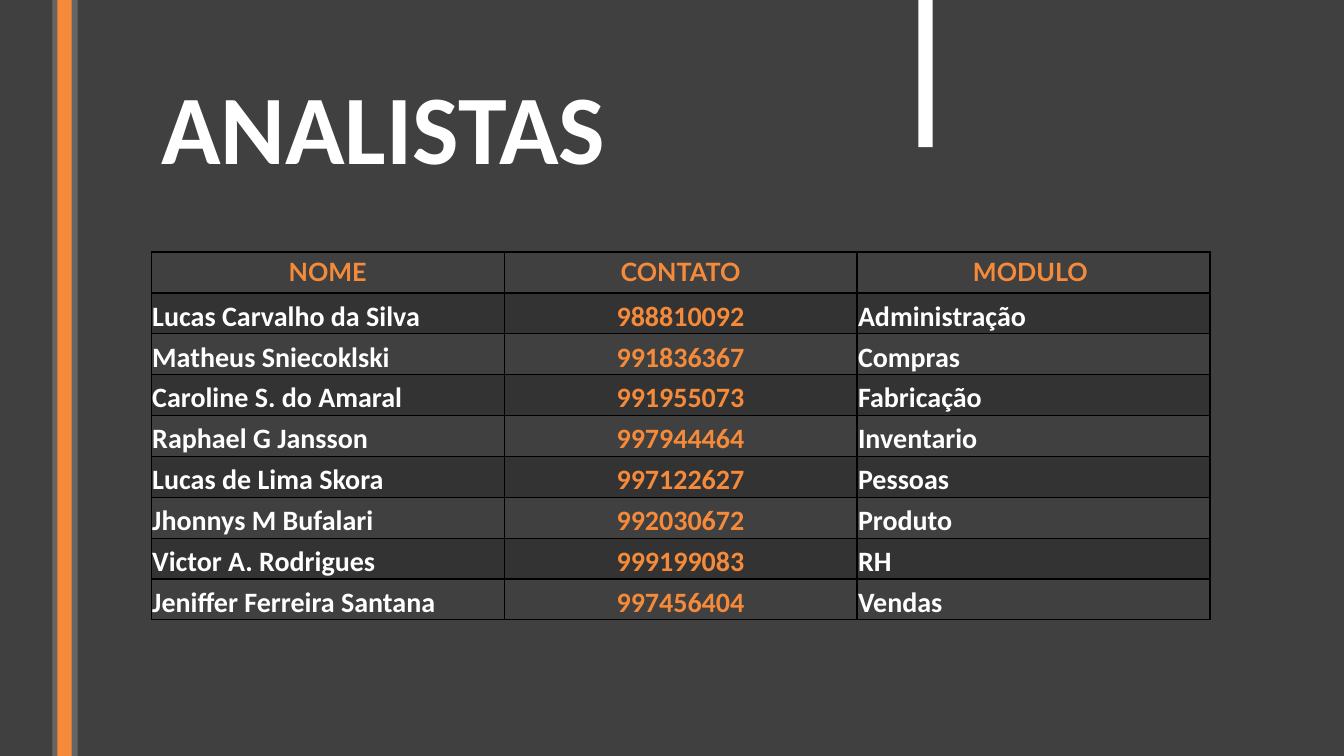
from lxml import etree
from pptx import Presentation
from pptx.dml.color import RGBColor
from pptx.enum.shapes import MSO_SHAPE
from pptx.enum.text import MSO_ANCHOR, MSO_AUTO_SIZE, PP_ALIGN
from pptx.oxml.ns import qn
from pptx.util import Inches, Pt

RECTANGLE = MSO_SHAPE.RECTANGLE
TOP, BOTTOM = MSO_ANCHOR.TOP, MSO_ANCHOR.BOTTOM
LEFT, CENTER = PP_ALIGN.LEFT, PP_ALIGN.CENTER

CHARCOAL = RGBColor(0x40, 0x40, 0x40)
GRAY = RGBColor(0x69, 0x64, 0x64)
ORANGE = RGBColor(0xF5, 0x8A, 0x3A)
WHITE = RGBColor(0xFF, 0xFF, 0xFF)
BLACK = RGBColor(0x00, 0x00, 0x00)

HEADINGS = ("NOME", "CONTATO", "MODULO ")
ANALYSTS = (
    ("Lucas Carvalho da Silva", "988810092", "Administração"),
    ("Matheus Sniecoklski", "991836367", "Compras"),
    ("Caroline S. do Amaral", "991955073", "Fabricação"),
    ("Raphael G Jansson", "997944464", "Inventario"),
    ("Lucas de Lima Skora", "997122627", "Pessoas"),
    ("Jhonnys M Bufalari", "992030672", "Produto"),
    ("Victor A. Rodrigues", "999199083", "RH"),
    ("Jeniffer Ferreira Santana", "997456404", "Vendas"),
)
CONTACT_COLUMN = 1
BODY_MARGINS = {
    "margin_left": Inches(0.01),
    "margin_right": Inches(0.01),
    "margin_top": Inches(0.01),
    "margin_bottom": 0,
}


def write(para, text, font_name, size, color):
    """Put one bold run in the paragraph."""
    span = para.add_run()
    span.text = text
    span.font.color.rgb = color
    font_format = {"name": font_name, "size": Pt(size), "bold": True}
    for attribute, value in font_format.items():
        setattr(span.font, attribute, value)


def add_borders(cell, bottom_width):
    """Draw black borders, 1 pt on every side but the bottom."""
    widths = {"a:lnL": 1, "a:lnR": 1, "a:lnT": 1, "a:lnB": bottom_width}
    properties = cell._tc.get_or_add_tcPr()
    for position, (tag, width) in enumerate(widths.items()):
        line = etree.Element(qn(tag), w=str(Pt(width)))
        fill = etree.SubElement(line, qn("a:solidFill"))
        etree.SubElement(fill, qn("a:srgbClr"), val=str(BLACK))
        properties.insert(position, line)


deck = Presentation()
deck.slide_width = Inches(13.33)
deck.slide_height = Inches(7.5)
page = deck.slides.add_slide(deck.slide_layouts[5])
page.background.fill.solid()
page.background.fill.fore_color.rgb = CHARCOAL

content_left, content_width = Inches(1.5), Inches(10.5)

# Title
title = page.shapes.title
title_place = {
    "left": content_left,
    "top": Inches(0.75),
    "width": content_width,
    "height": Inches(1.62),
}
for attribute, value in title_place.items():
    setattr(title, attribute, value)
title.text_frame.auto_size = MSO_AUTO_SIZE.NONE
title.text_frame.vertical_anchor = TOP
title_para = title.text_frame.paragraphs[0]
title_para.alignment = LEFT
title_para.line_spacing = 0.89
write(title_para, "ANALISTAS", "Calibri", 70.2, WHITE)

# Vertical bars: left, width, height, colour
full_height = deck.slide_height
bars = (
    (0.52, 0.25, full_height, GRAY),
    (0.57, 0.14, full_height, ORANGE),
    (9.11, 0.14, Inches(1.46), WHITE),
)
for left, width, height, color in bars:
    bar = page.shapes.add_shape(RECTANGLE, Inches(left), 0, Inches(width), height)
    bar.shadow.inherit = False
    bar.fill.solid()
    bar.fill.fore_color.rgb = color
    bar.line.fill.background()

# Table of analysts
rows = (HEADINGS, *ANALYSTS)
table_height = Inches(3.65)
table = page.shapes.add_table(
    len(rows), len(HEADINGS), content_left, Inches(2.5), content_width, table_height
).table
table.first_row = False
table.horz_banding = False

for row_index, row in enumerate(rows):
    is_heading = row_index == 0
    for column_index, text in enumerate(row):
        cell = table.cell(row_index, column_index)
        is_orange = is_heading or column_index == CONTACT_COLUMN
        if row_index % 2:
            cell.fill.solid()
            cell.fill.fore_color.rgb = BLACK
            shade = cell._tc.tcPr.find(".//" + qn("a:srgbClr"))
            etree.SubElement(shade, qn("a:alpha"), val="20000")
        else:
            cell.fill.background()
        add_borders(cell, 2 if is_heading else 1)
        if not is_heading:
            cell.vertical_anchor = BOTTOM
            for attribute, value in BODY_MARGINS.items():
                setattr(cell, attribute, value)
        para = cell.text_frame.paragraphs[0]
        para.alignment = CENTER if is_orange else LEFT
        font_name, size = ("Lato", 18) if is_heading else ("Calibri", 20)
        write(para, text, font_name, size, ORANGE if is_orange else WHITE)

deck.save("out.pptx")
